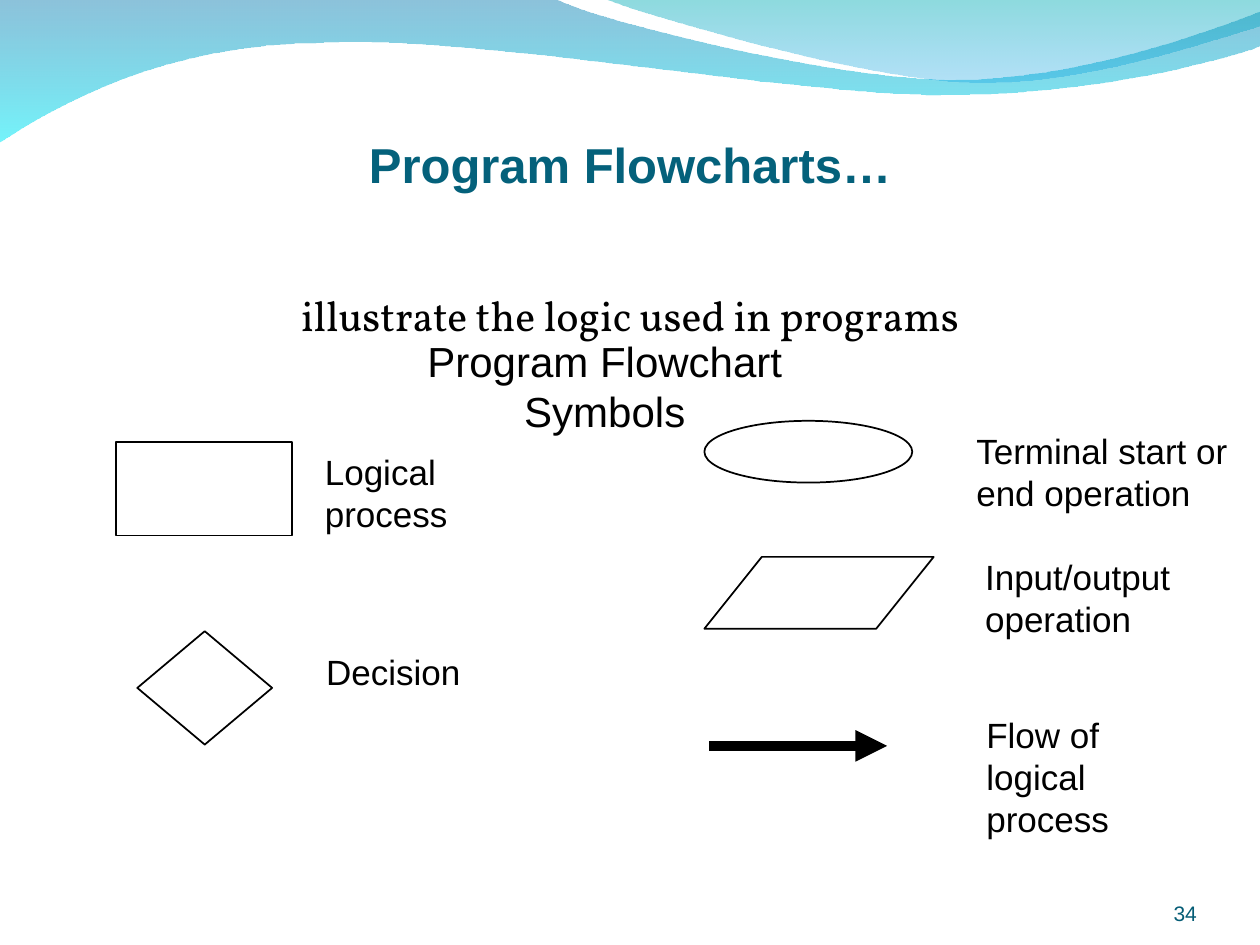
from lxml import etree
from pptx import Presentation
from pptx.dml.color import RGBColor
from pptx.enum.shapes import MSO_CONNECTOR, MSO_SHAPE
from pptx.enum.text import MSO_ANCHOR, MSO_AUTO_SIZE, PP_ALIGN
from pptx.oxml.ns import qn
from pptx.util import Inches, Pt

LEFT, CENTER, RIGHT = PP_ALIGN.LEFT, PP_ALIGN.CENTER, PP_ALIGN.RIGHT
TOP, BOTTOM = MSO_ANCHOR.TOP, MSO_ANCHOR.BOTTOM
GROW, FIXED = MSO_AUTO_SIZE.SHAPE_TO_FIT_TEXT, MSO_AUTO_SIZE.NONE

COLORS = {"ink": "000000", "title": "04617B", "number": "045C75",
          "blue": "0079AF", "cyan": "00EBF8", "teal": "00ADB6", "sky": "009BE5"}

# Wave outlines: a start point, then lines (1 point) and curves (3 points);
# gradient stops run from top to bottom as (colour, opacity %)
WAVES = [
    {"start": (0, -0.01),
     "steps": [[(4.4, -0.01)],
               [(4.76, 0.17), (6.64, 0.63), (7.58, 0.63)],
               [(8.53, 0.63), (9.58, 0.26), (10, 0.09)],
               [(10.01, 0.36)],
               [(9.83, 0.44), (8.7, 0.76), (7.46, 0.75)],
               [(6.22, 0.75), (3.82, 0.28), (2.57, 0.34)],
               [(1.29, 0.35), (0.46, 0.83), (-0.01, 1.13)]],
     "stops": [("blue", 45), ("cyan", 55)]},
    {"start": (4.79, -0.01),
     "steps": [[(5.09, 0.11), (6.82, 0.62), (7.69, 0.65)],
               [(8.56, 0.69), (9.61, 0.32), (10, 0.21)],
               [(10, 0)]],
     "stops": [("teal", 45), ("sky", 30)]},
]

# Text lines, box, format
HEADINGS = [
    (["Program Flowcharts…"], (0.75, 0.83, 8.5, 0.75),
     {"size": 28, "bold": True, "color": "title", "align": CENTER, "anchor": BOTTOM}),
    (["illustrate the logic used in programs"], (0.75, 2.25, 8.5, 0.75),
     {"size": 24, "name": "Vollkorn", "align": CENTER}),
    (["34"], (8.67, 6.95, 0.83, 0.4),
     {"size": 12, "color": "number", "align": RIGHT, "anchor": BOTTOM, "inset": 0}),
    (["Program Flowchart Symbols"], (2.61, 2.61, 4.38, 0.5),
     {"size": 24, "align": CENTER, "wrap": False}),
]
LABELS = [
    (["Logical process"], (2.48, 3.53, 2.13, 0.43)),
    (["Decision"], (2.49, 5.11, 1.27, 0.43)),
    (["Terminal start or", "end operation"], (7.65, 3.36, 2.22, 0.76)),
    (["Input/output", "operation"], (7.72, 4.36, 1.67, 0.76)),
    (["Flow of logical", "process"], (7.73, 5.61, 1.96, 0.76)),
]
SYMBOLS = [
    (MSO_SHAPE.RECTANGLE, (0.92, 3.51, 1.4, 0.74)),
    (MSO_SHAPE.DIAMOND, (1.09, 5.01, 1.07, 0.9)),
    (MSO_SHAPE.OVAL, (5.59, 3.34, 1.65, 0.49)),
    (MSO_SHAPE.PARALLELOGRAM, (5.59, 4.42, 1.82, 0.57)),
]
PARALLELOGRAM_SLANT = 0.8
FLOW_ARROW = (5.63, 5.92, 7.04, 5.92)


def rgb(key):
    return RGBColor.from_string(COLORS[key])


def inches(values):
    return [Inches(v) for v in values]


def bend_curves(sp, steps):
    """Turn each run of three line segments of a curve step into one curve."""
    segments = iter(list(sp._element.iter(qn("a:lnTo"))))
    for step in steps:
        group = [next(segments) for _ in step]
        if len(group) == 3:
            curve = etree.Element(qn("a:cubicBezTo"))
            group[0].addprevious(curve)
            for segment in group:
                curve.append(segment[0])
                segment.getparent().remove(segment)


def add_wave(slide, start, steps, stops):
    builder = slide.shapes.build_freeform(*inches(start))
    builder.add_line_segments([inches(point) for step in steps for point in step], close=True)
    sp = builder.convert_to_shape()
    bend_curves(sp, steps)
    sp.shadow.inherit = False
    sp.line.fill.background()
    sp.fill.gradient()
    sp.fill.gradient_angle = 270
    for position, (stop, (color, _)) in enumerate(zip(sp.fill.gradient_stops, stops)):
        stop.position = position
        stop.color.rgb = rgb(color)
    nodes = list(sp._element.spPr.iter(qn("a:srgbClr")))
    for node, (_, opacity) in zip(nodes, stops):
        etree.SubElement(node, qn("a:alpha"), val=str(opacity * 1000))


def add_text(slide, lines, box, style):
    tf = slide.shapes.add_textbox(*inches(box)).text_frame
    tf.word_wrap = style.get("wrap", True)
    tf.auto_size = FIXED if tf.word_wrap else GROW
    tf.vertical_anchor = style.get("anchor", TOP)
    if "inset" in style:
        for side in ("left", "top", "right", "bottom"):
            setattr(tf, f"margin_{side}", Inches(style["inset"]))
    font = {"name": style.get("name", "Arial"), "size": Pt(style["size"]),
            "bold": style.get("bold", False)}
    for i, line in enumerate(lines):
        p = tf.add_paragraph() if i else tf.paragraphs[0]
        p.alignment = style.get("align", LEFT)
        r = p.add_run()
        r.text = line
        for key, value in font.items():
            setattr(r.font, key, value)
        r.font.color.rgb = rgb(style.get("color", "ink"))


def set_line(sp, width):
    sp.line.color.rgb = rgb("ink")
    sp.line.width = Pt(width)


def main():
    prs = Presentation()
    prs.slide_width, prs.slide_height = Inches(10), Inches(7.5)
    s = prs.slides.add_slide(prs.slide_layouts[6])

    # Wave header
    for wave in WAVES:
        add_wave(s, **wave)

    # Headings and slide number
    for lines, box, style in HEADINGS:
        add_text(s, lines, box, style)

    # Flowchart symbols
    for kind, box in SYMBOLS:
        sp = s.shapes.add_shape(kind, *inches(box))
        sp.shadow.inherit = False
        sp.fill.background()
        set_line(sp, 1)
        if kind == MSO_SHAPE.PARALLELOGRAM:
            sp.adjustments[0] = PARALLELOGRAM_SLANT

    # Flow arrow
    arrow = s.shapes.add_connector(MSO_CONNECTOR.STRAIGHT, *inches(FLOW_ARROW))
    set_line(arrow, 6)
    etree.SubElement(arrow.line._get_or_add_ln(), qn("a:tailEnd"), type="triangle")
    etree.SubElement(arrow._element.spPr, qn("a:effectLst"))

    # Symbol labels
    for lines, box in LABELS:
        add_text(s, lines, box, {"size": 20, "wrap": False})

    prs.save("out.pptx")


if __name__ == "__main__":
    main()
